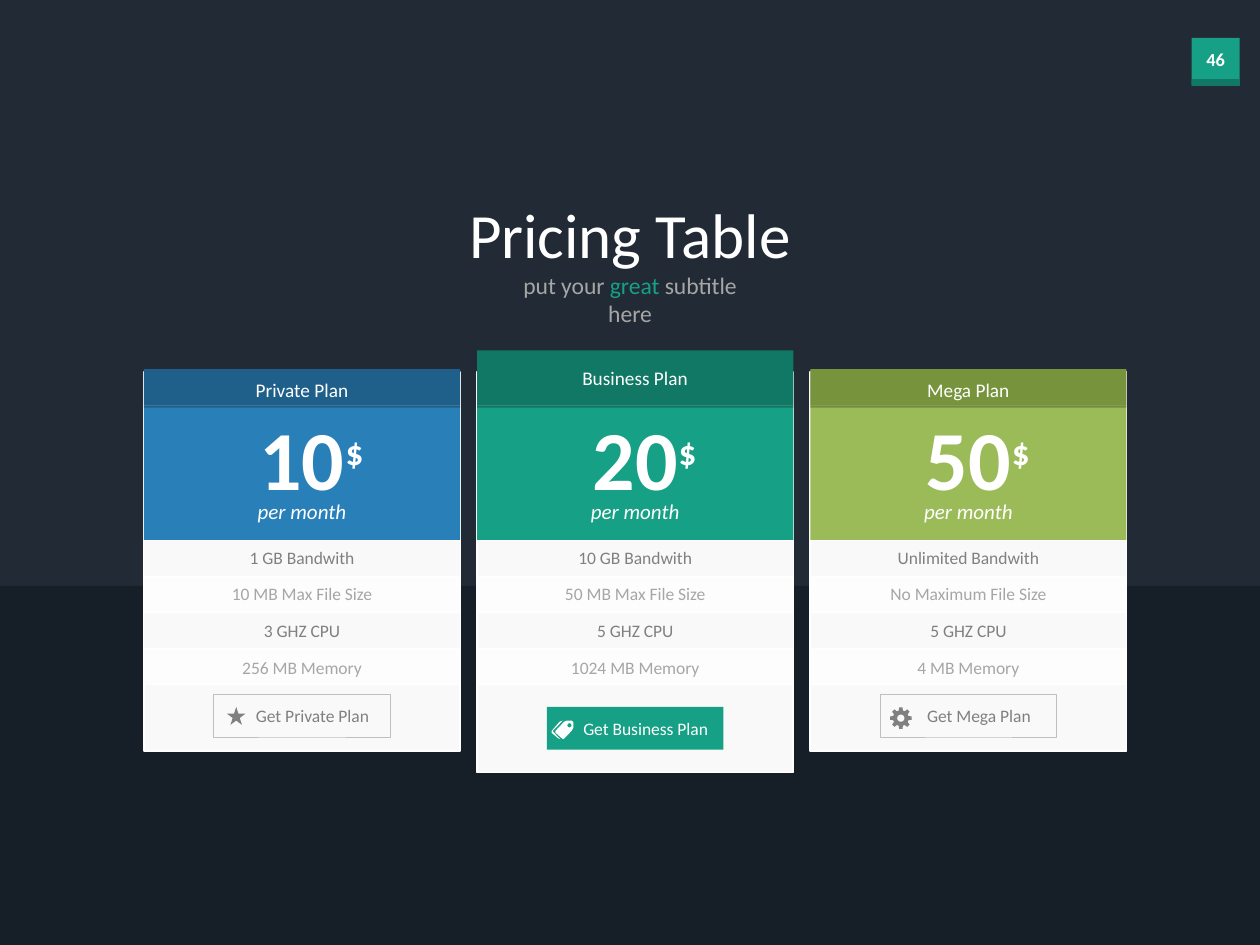
"""Build a pricing table slide with three plan cards."""
from math import cos, radians, sin

from lxml import etree
from pptx import Presentation
from pptx.dml.color import RGBColor
from pptx.enum.shapes import MSO_SHAPE
from pptx.enum.text import MSO_ANCHOR, MSO_AUTO_SIZE, PP_ALIGN
from pptx.oxml.ns import qn
from pptx.util import Pt

RECT = MSO_SHAPE.RECTANGLE
STAR = MSO_SHAPE.STAR_5_POINT
TOP = MSO_ANCHOR.TOP
GROW = MSO_AUTO_SIZE.SHAPE_TO_FIT_TEXT
CENTER = PP_ALIGN.CENTER

WHITE = RGBColor(0xFF, 0xFF, 0xFF)
BLACK = RGBColor(0, 0, 0)
NIGHT = RGBColor(0x22, 0x2A, 0x35)
FLOOR = RGBColor(0x16, 0x1F, 0x28)
BLUE = RGBColor(0x29, 0x80, 0xB9)
NAVY = RGBColor(0x1F, 0x60, 0x8B)
TEAL = RGBColor(0x16, 0xA0, 0x85)
PINE = RGBColor(0x10, 0x78, 0x64)
LIME = RGBColor(0x9B, 0xBB, 0x59)
MOSS = RGBColor(0x77, 0x93, 0x3C)
PALE = RGBColor(0xF9, 0xF9, 0xF9)
SNOW = RGBColor(0xFD, 0xFD, 0xFD)
GRAY = RGBColor(0x80, 0x80, 0x80)
ASH = RGBColor(0xA6, 0xA6, 0xA6)
EDGE = RGBColor(0xBF, 0xBF, 0xBF)

FACE = "Calibri"
LEFT, PITCH, WIDE = 82.2, 190.4, 180.7
HEAD, PRICE, ROWS, ROW = 212.4, 231.8, 309, 20.6


def paint(shape, fill, edge=None, weight=0):
    """Set fill and outline of a shape, without shadow."""
    shape.shadow.inherit = False
    if fill is None:
        shape.fill.background()
    else:
        shape.fill.solid()
        shape.fill.fore_color.rgb = fill
    if edge is None:
        shape.line.fill.background()
    else:
        shape.line.color.rgb = edge
        shape.line.width = Pt(weight)


def block(slide, x, y, w, h, fill, edge=None, weight=0, kind=RECT):
    """Add a preset shape."""
    shape = slide.shapes.add_shape(kind, Pt(x), Pt(y), Pt(w), Pt(h))
    paint(shape, fill, edge, weight)
    return shape


def write(shape, text, size, color=WHITE, bold=False, slant=False, wrap=False):
    """Write one centred line into a text shape."""
    frame = shape.text_frame
    frame.word_wrap = wrap
    frame.auto_size = GROW
    frame.vertical_anchor = TOP
    line = frame.paragraphs[0]
    line.alignment = CENTER
    font = line.font
    font.name, font.size = FACE, Pt(size)
    font.bold, font.italic = bold, slant
    font.color.rgb = color
    if text:
        line.add_run().text = text
    return line


def label(slide, mid, y, w, h, text, size, color=WHITE, **style):
    """Add a text box centred on mid."""
    box = slide.shapes.add_textbox(Pt(mid - w / 2), Pt(y), Pt(w), Pt(h))
    return write(box, text, size, color, **style)


def outline(slide, x, y, loops, fill):
    """Draw closed loops of points as one shape at x, y."""
    loops = [[(Pt(x + a), Pt(y + b)) for a, b in loop] for loop in loops]
    pen = slide.shapes.build_freeform(*loops[0][0])
    for turn, loop in enumerate(loops):
        if turn:
            pen.move_to(*loop[0])
        pen.add_line_segments(loop[1:], close=True)
    paint(pen.convert_to_shape(), fill)


def spot(r, angle, x=0, y=0):
    """Give the point at a radius and angle around x, y."""
    return x + r * cos(radians(angle)), y + r * sin(radians(angle))


def ring(r, x=0, y=0):
    """Give the points of a small circle."""
    return [spot(r, angle, x, y) for angle in range(0, 360, 20)]


def star(slide, x, y):
    """Draw the star icon."""
    block(slide, x + 47.5, y + 7.2, 10.6, 10.3, GRAY, kind=STAR)


def tags(slide, x, y):
    """Draw the icon of two price tags."""
    front = [(8.6, 0), (11.5, 0), (12.5, 1.1), (12.5, 3.9), (11.7, 5.6),
             (7.3, 10.2), (6.6, 10.6), (5.9, 10.2), (2.2, 6.9), (2.2, 5.9),
             (7.2, 0.6)]
    back = [(0.8, 6.4), (5, 10.6), (3.8, 10.2), (0, 7), (0, 5.9),
            (4.6, 0.6), (6.4, 0), (0.8, 5.8)]
    outline(slide, x + 42.6, y + 7.9, [front, ring(1.2, 10.2, 2.7), back], WHITE)


def gear(slide, x, y):
    """Draw the gear icon with eight teeth."""
    tooth = [(4.5, -15), (6.2, -9), (6.2, 9), (4.5, 15)]
    rim = [spot(r, turn + angle) for turn in range(0, 360, 45) for r, angle in tooth]
    outline(slide, x + 51.8, y + 13.7, [rim, ring(2.1)], GRAY)


PLANS = [
    (("Private Plan", 68.4), "10", BLUE, NAVY, star, ("Get Private Plan", 80),
     [("1 GB Bandwith", 75.6), ("10 MB Max File Size", 96.5),
      ("3 GHZ CPU", 58.3), ("256 MB Memory", 83.5)]),
    (("Business Plan", 75), "20", TEAL, PINE, tags, ("Get Business Plan", 86.4),
     [("10 GB Bandwith", 80.6), ("50 MB Max File Size", 96.5),
      ("5 GHZ CPU", 58.3), ("1024 MB Memory", 89.3)]),
    (("Mega Plan", 62), "50", LIME, MOSS, gear, ("Get Mega Plan", 75),
     [("Unlimited Bandwith", 96.5), ("No Maximum File Size", 105),
      ("5 GHZ CPU", 58.3), ("4 MB Memory", 73.4)]),
]


def card(slide, x, plan, main_plan):
    """Draw one plan card; the main plan is taller."""
    (name, room), price, tint, shade, icon, (call, span), perks = plan
    mid = x + WIDE / 2
    block(slide, x, HEAD, WIDE, 229 if main_plan else 216.7, PALE, WHITE, 1)
    block(slide, x, PRICE, WIDE, 77.2, tint)
    for i in range(len(perks)):
        block(slide, x, ROWS + i * ROW, WIDE, ROW, (PALE, SNOW)[i % 2], WHITE, 0.5)
    band = block(slide, x, HEAD, WIDE, ROW, BLACK)
    tone = band.fill._xPr.find(qn("a:solidFill"))[0]
    etree.SubElement(tone, qn("a:alpha")).set("val", "25000")
    top = 200.2 if main_plan else 211
    block(slide, x, top, WIDE, 31.7 if main_plan else 20.8, shade)

    label(slide, mid, 205.9 if main_plan else HEAD, room, 20.9, name, 11)
    label(slide, mid, 229, 64, 65.5, price, 48, bold=True)
    label(slide, mid + 30, 242.6, 24.5, 31.7, "$", 20, bold=True)
    label(slide, mid, 281.5, 65.5, 21.6, "per month", 12, slant=True)
    for i, (perk, w) in enumerate(perks):
        label(slide, mid, ROWS + i * 20.9, w, 19.4, perk, 10, (GRAY, ASH)[i % 2])

    y = 403.9 if main_plan else 396.7
    look = (TEAL,) if main_plan else (None, EDGE, 0.25)
    block(slide, mid - 50.4, y, 100.8, 24.5, *look)
    label(slide, mid + 6, y + 2.9, span, 19.4, call, 10, WHITE if main_plan else GRAY)
    icon(slide, x, y)


def heading(slide):
    """Fill the title and add the subtitle."""
    title = slide.shapes.title
    title.left, title.top = Pt(256.7), Pt(108)
    title.width, title.height = Pt(206.6), Pt(51)
    write(title, "Pricing Table", 36)
    line = label(slide, 360, 151.2, 162, 40, "", 13.5, ASH, wrap=True)
    for text, color in ("put your ", ASH), ("great", TEAL), (" subtitle here", ASH):
        run = line.add_run()
        run.text = text
        run.font.color.rgb = color


def badge(slide):
    """Add the page number badge."""
    block(slide, 681, 21.6, 27.4, 27.4, TEAL)
    block(slide, 681, 45.2, 27.4, 3.8, PINE)
    label(slide, 694.7, 23.9, 27.4, 20.2, "46", 10.5, bold=True)


def main():
    """Build and save the slide."""
    deck = Presentation()
    deck.slide_width, deck.slide_height = Pt(720), Pt(540)
    slide = deck.slides.add_slide(deck.slide_layouts[5])
    slide.background.fill.solid()
    slide.background.fill.fore_color.rgb = NIGHT
    badge(slide)
    heading(slide)
    block(slide, 0, 334.8, 720, 205.2, FLOOR)
    for i, plan in enumerate(PLANS):
        card(slide, LEFT + i * PITCH, plan, i == 1)
    deck.save("out.pptx")


if __name__ == "__main__":
    main()
